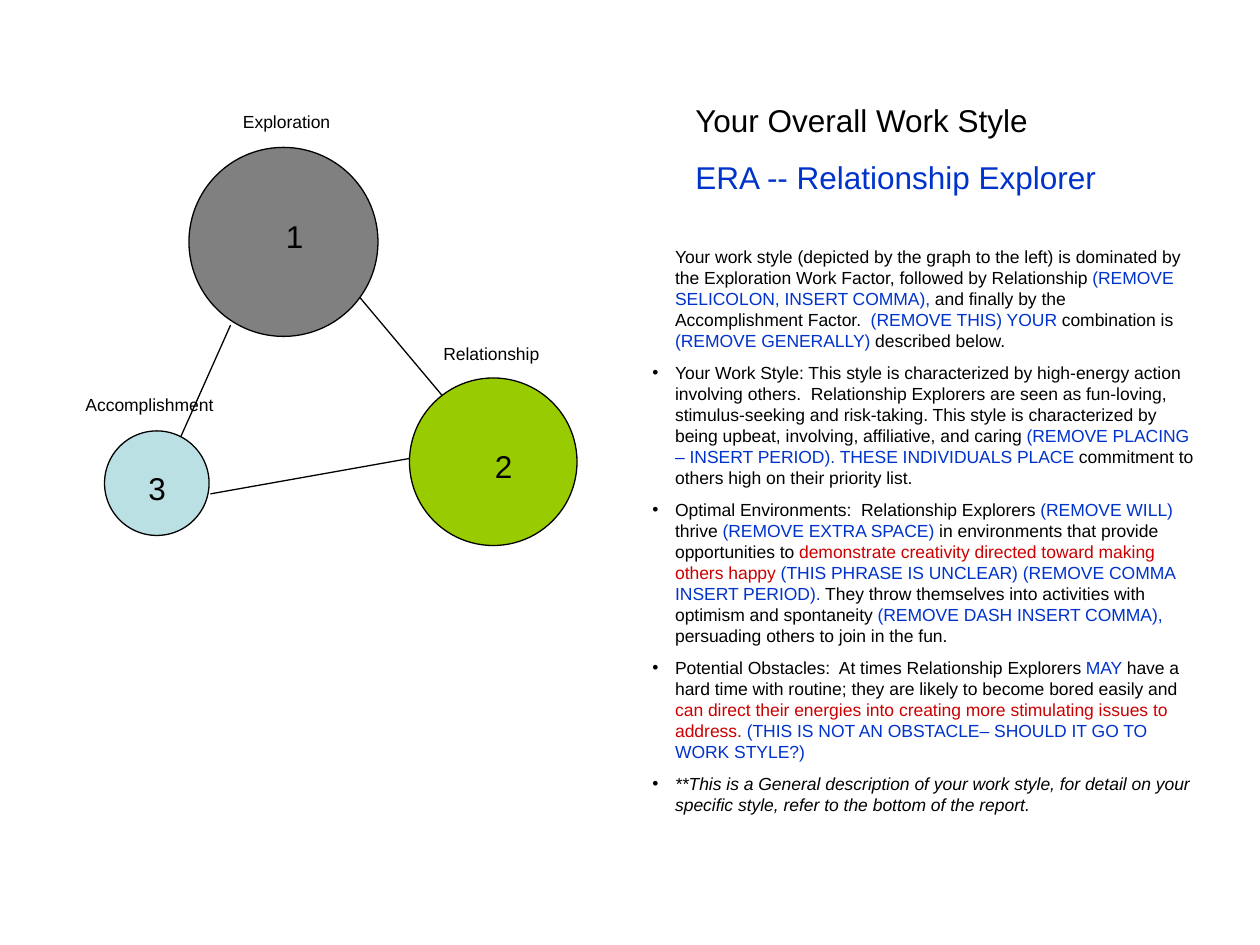
from lxml import etree
from pptx import Presentation, util as u
from pptx.dml import color
from pptx.enum import shapes, text
from pptx.oxml import ns

BLACK, BLUE, RED = "000000", "0033CC", "CC0000"

FACTORS = [
    ("Relationship", "2", "99CC00", (3.25, 3, 1.33), (3.42, 2.67, 1.08), (3.83, 3.5)),
    ("Exploration", "1", "808080", (1.5, 1.17, 1.5), (1.83, 0.83, 1.5), (2.17, 1.67)),
    ("Accomplishment", "3", "BBE0E3", (0.83, 3.42, 0.83), (0.58, 3.08, 1.25), (1.08, 3.67)),
]
LINKS = [
    ((1.83, 2.58), (1.42, 3.5)),
    ((1.67, 3.92), (3.58, 3.58)),
    ((3.67, 3.33), (2.83, 2.33)),
]
TITLE = [
    [("Your Overall Work Style", BLACK)],
    [("ERA -- Relationship Explorer", BLUE)],
]
INTRODUCTION = [
    ("Your work style (depicted by the graph to the left) is dominated by the Exploration "
     "Work Factor, followed by Relationship ", BLACK),
    ("(REMOVE SELICOLON, INSERT COMMA),", BLUE),
    (" and finally by the Accomplishment Factor.  ", BLACK),
    ("(REMOVE THIS) YOUR", BLUE),
    (" combination is ", BLACK),
    ("(REMOVE GENERALLY)", BLUE),
    (" described below.", BLACK),
]
WORK_STYLE = [
    ("Your Work Style: This style is characterized by high-energy action involving others.  "
     "Relationship Explorers are seen as fun-loving, stimulus-seeking and risk-taking. This "
     "style is characterized by being upbeat, involving, affiliative, and caring ", BLACK),
    ("(REMOVE PLACING – INSERT PERIOD). THESE INDIVIDUALS PLACE", BLUE),
    (" commitment to others high on their priority list.", BLACK),
]
ENVIRONMENTS = [
    ("Optimal Environments:  Relationship Explorers ", BLACK),
    ("(REMOVE WILL)", BLUE),
    (" thrive ", BLACK),
    ("(REMOVE EXTRA SPACE)", BLUE),
    (" in environments that provide opportunities to ", BLACK),
    ("demonstrate creativity directed toward making others happy ", RED),
    ("(THIS PHRASE IS UNCLEAR) (REMOVE COMMA INSERT PERIOD).", BLUE),
    (" They throw themselves into activities with optimism and spontaneity ", BLACK),
    ("(REMOVE DASH INSERT COMMA),", BLUE),
    (" persuading others to join in the fun.", BLACK),
]
OBSTACLES = [
    ("Potential Obstacles:  At times Relationship Explorers ", BLACK),
    ("MAY ", BLUE),
    ("have a hard time with routine; they are likely to become bored easily and ", BLACK),
    ("can direct their energies into creating more stimulating issues to address. ", RED),
    ("(THIS IS NOT AN OBSTACLE– SHOULD IT GO TO WORK STYLE?)", BLUE),
]
FOOTNOTE = [
    ("**This is a General description of your work style, for detail on your specific style, "
     "refer to the bottom of the report.", BLACK),
]


def rgb(value):
    return color.RGBColor.from_string(value)


class SlideBuilder:
    """Hold the style and the current slide, and draw each kind of element."""

    font = "Arial"
    line_width = u.Pt(0.75)
    body_size, heading_size = 10, 18
    indent = 0.18

    def __init__(self, slide):
        self.slide = slide

    def outline(self, line):
        line.color.rgb = rgb(BLACK)
        line.width = self.line_width

    def link(self, start, end):
        points = [u.Inches(value) for value in (*start, *end)]
        connector = self.slide.shapes.add_connector(shapes.MSO_CONNECTOR.STRAIGHT, *points)
        self.outline(connector.line)
        etree.SubElement(connector._element.spPr, ns.qn("a:effectLst"))

    def circle(self, left, top, diameter, fill):
        shape = self.slide.shapes.add_shape(
            shapes.MSO_SHAPE.OVAL, u.Inches(left), u.Inches(top),
            u.Inches(diameter), u.Inches(diameter))
        shape.shadow.inherit = False
        shape.fill.solid()
        shape.fill.fore_color.rgb = rgb(fill)
        self.outline(shape.line)

    def text_box(self, left, top, width, height, paragraphs, size):
        shape = self.slide.shapes.add_textbox(*map(u.Inches, (left, top, width, height)))
        frame = shape.text_frame
        frame.word_wrap = True
        frame.auto_size = text.MSO_AUTO_SIZE.SHAPE_TO_FIT_TEXT
        for index, runs in enumerate(paragraphs):
            paragraph = frame.add_paragraph() if index else frame.paragraphs[0]
            paragraph.space_before = u.Pt(11.2 if size == self.heading_size else 6.2)
            for words, tint in runs:
                run = paragraph.add_run()
                run.text = words
                run.font.name = self.font
                run.font.size = u.Pt(size)
                run.font.color.rgb = rgb(tint)
        return frame.paragraphs

    def indent_paragraph(self, paragraph, bullet):
        properties = paragraph._p.get_or_add_pPr()
        properties.set("marL", str(u.Inches(self.indent)))
        properties.set("indent", str(-u.Inches(self.indent) if bullet else 0))
        if bullet:
            tint = etree.SubElement(properties, ns.qn("a:buClr"))
            etree.SubElement(tint, ns.qn("a:srgbClr"), val=BLACK)
            etree.SubElement(properties, ns.qn("a:buFont"), typeface=self.font)
            etree.SubElement(properties, ns.qn("a:buChar"), char="•")


def main():
    presentation = Presentation()
    presentation.slide_width, presentation.slide_height = u.Inches(10), u.Inches(7.5)
    builder = SlideBuilder(presentation.slides.add_slide(presentation.slide_layouts[6]))

    for start, end in LINKS:
        builder.link(start, end)
    for name, rank, fill, circle, label, number in FACTORS:
        builder.circle(*circle, fill)
        builder.text_box(*label, 0.27, [[(name, BLACK)]], builder.body_size)
        builder.text_box(*number, 0.25, 0.4, [[(rank, BLACK)]], builder.heading_size)

    builder.text_box(5.42, 0.75, 3.83, 0.86, TITLE, builder.heading_size)
    body = builder.text_box(
        5.08, 1.9, 4.5, 4.62,
        [INTRODUCTION, WORK_STYLE, ENVIRONMENTS, OBSTACLES, FOOTNOTE], builder.body_size)
    for index, paragraph in enumerate(body):
        builder.indent_paragraph(paragraph, bullet=index > 0)
    body[-1].runs[0].font.italic = True

    presentation.save("out.pptx")


if __name__ == "__main__":
    main()
